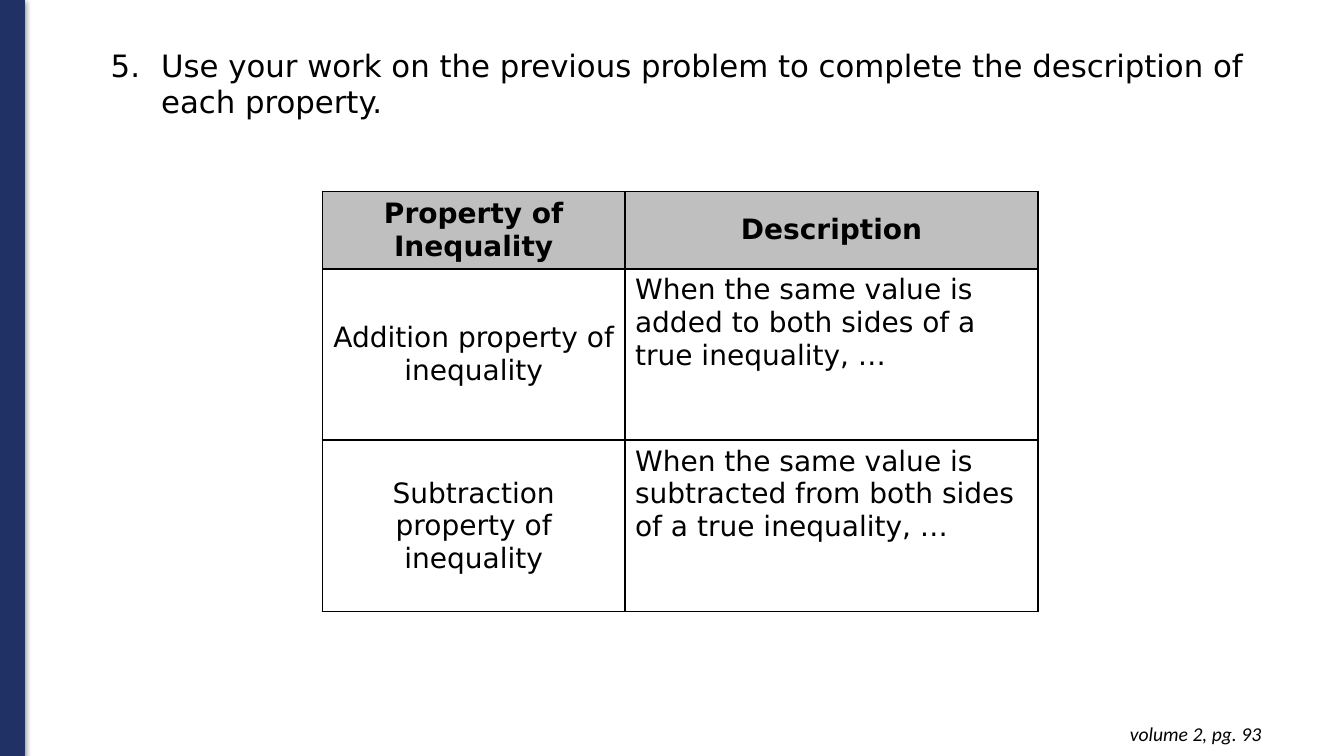
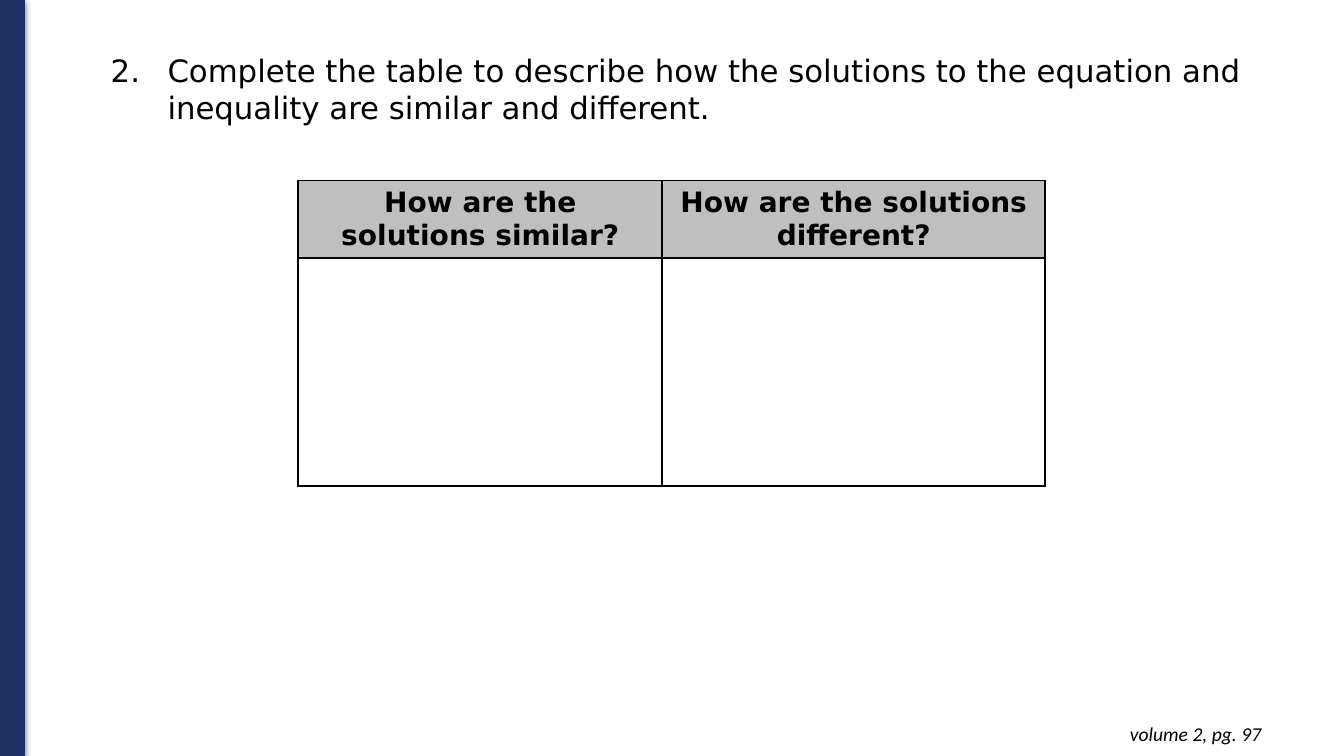
from dataclasses import dataclass

from lxml.etree import SubElement as Sub
from pptx import Presentation as Deck
from pptx.dml.color import RGBColor as Color
from pptx.enum.shapes import MSO_SHAPE as Form
from pptx.enum.text import MSO_ANCHOR as Anchor, PP_ALIGN as Align
from pptx.oxml.ns import qn
from pptx.slide import Slide
from pptx.table import _Cell as Cell
from pptx.text.text import TextFrame as Frame
from pptx.util import Emu, Inches, Pt


@dataclass(frozen=True)
class Theme:
    navy: str = "1F3165"
    gray: str = "BFBFBF"
    black: str = "000000"
    main: str = "DejaVu Sans"
    foot: str = "Calibri"
    task: int = 22
    cell: int = 20
    note: int = 14
    rule: float = 1.5


@dataclass(frozen=True)
class Box:
    left: float
    top: float
    wide: float
    high: float


@dataclass(frozen=True)
class Chart:
    left: float
    top: float
    cols: tuple[float, ...]
    rows: tuple[float, ...]
    text: tuple[tuple[str, ...], ...]
    label: bool


@dataclass(frozen=True)
class Page:
    number: int
    task: str
    top: float
    indent: float
    grid: Chart
    note: str


THEME = Theme()
WIDE, HIGH = Inches(13.33), Inches(7.5)
COLS, ROWS = 80, 45
BAND = Box(0, 0, 1.44, ROWS)
FOOT = Box(58.4, 42.36, 17.28, 2.64)

PAGES = (
    Page(5, "Use your work on the previous problem to complete the description of each property.",
         2.46, 3,
         Chart(19.2, 11.4, (18, 24.6), (4.56, 10.2, 10.2), (
             ("Property of Inequality", "Description"),
             ("Addition property of inequality",
              "When the same value is added to both sides of a true inequality, …"),
             ("Subtraction property of inequality",
              "When the same value is subtracted from both sides of a true inequality, …"),
         ), True),
         "volume 2, pg. 93"),
    Page(2, "Complete the table to describe how the solutions to the equation and "
         "inequality are similar and different.",
         2.76, 3.38,
         Chart(17.76, 10.74, (21.66, 22.8), (4.62, 13.56), (
             ("How are the solutions similar?", "How are the solutions different?"),
             ("", ""),
         ), False),
         "volume 2, pg. 97"),
)


def across(cols: float) -> Emu:
    return Emu(round(WIDE * cols / COLS))


def down(rows: float) -> Emu:
    return Emu(round(HIGH * rows / ROWS))


def place(box: Box) -> tuple[Emu, Emu, Emu, Emu]:
    return across(box.left), down(box.top), across(box.wide), down(box.high)


def write(frame: Frame, text: str, size: int, face: str, bold: bool = False,
          slant: bool = False, align: Align = Align.LEFT) -> None:
    frame.text = text
    frame.word_wrap = True
    line = frame.paragraphs[0]
    line.alignment = align
    for run in line.runs:
        font = run.font
        font.size, font.name = Pt(size), face
        font.bold, font.italic = bold, slant
        font.color.rgb = Color.from_string(THEME.black)


def number(frame: Frame, start: int, indent: float) -> None:
    props = frame.paragraphs[0]._p.get_or_add_pPr()
    props.set("marL", str(across(indent)))
    props.set("indent", str(-across(indent)))
    tint = Sub(props, qn("a:buClr"))
    Sub(tint, qn("a:srgbClr"), val=THEME.black)
    Sub(props, qn("a:buAutoNum"), type="arabicPeriod", startAt=str(start))


def shade(props) -> None:
    for old in props.findall(qn("a:effectLst")):
        props.remove(old)
    list_ = Sub(props, qn("a:effectLst"))
    cast = Sub(list_, qn("a:outerShdw"), blurRad=str(Pt(4.5)), dist=str(Pt(1.5)),
               dir="5400000", algn="ctr", rotWithShape="0")
    tint = Sub(cast, qn("a:srgbClr"), val=THEME.black)
    Sub(tint, qn("a:alpha"), val="50000")


def band(slide: Slide) -> None:
    bar = slide.shapes.add_shape(Form.RECTANGLE, *place(BAND))
    bar.fill.solid()
    bar.fill.fore_color.rgb = Color.from_string(THEME.navy)
    bar.line.color.rgb = Color.from_string(THEME.navy)
    bar.line.width = Pt(0.75)
    bar.shadow.inherit = False
    shade(bar._element.spPr)


def edge(cell: Cell) -> None:
    props = cell._tc.get_or_add_tcPr()
    for side in ("lnL", "lnR", "lnT", "lnB"):
        line = Sub(props, qn(f"a:{side}"), w=str(Pt(THEME.rule)))
        fill = Sub(line, qn("a:solidFill"))
        Sub(fill, qn("a:srgbClr"), val=THEME.black)


def paint(cell: Cell, text: str, head: bool, mid: bool) -> None:
    edge(cell)
    if head:
        cell.fill.solid()
        cell.fill.fore_color.rgb = Color.from_string(THEME.gray)
    else:
        cell.fill.background()
    cell.vertical_anchor = Anchor.MIDDLE if mid else Anchor.TOP
    if text:
        write(cell.text_frame, text, THEME.cell, THEME.main, bold=head,
              align=Align.CENTER if mid else Align.LEFT)


def chart(slide: Slide, grid: Chart) -> None:
    box = Box(grid.left, grid.top, sum(grid.cols), sum(grid.rows))
    table = slide.shapes.add_table(len(grid.rows), len(grid.cols), *place(box)).table
    table.first_row = table.horz_banding = False
    for col, wide in zip(table.columns, grid.cols):
        col.width = across(wide)
    for y, (row, high) in enumerate(zip(table.rows, grid.rows)):
        row.height = down(high)
        for x, cell in enumerate(row.cells):
            head = y == 0
            paint(cell, grid.text[y][x], head, head or (grid.label and x == 0))


def draw(slide: Slide, page: Page) -> None:
    band(slide)
    task = slide.shapes.add_textbox(*place(Box(6, page.top, 69, 5.04))).text_frame
    write(task, page.task, THEME.task, THEME.main)
    number(task, page.number, page.indent)
    chart(slide, page.grid)
    note = slide.shapes.add_textbox(*place(FOOT)).text_frame
    note.margin_top = note.margin_bottom = Inches(0.1)
    write(note, page.note, THEME.note, THEME.foot, slant=True, align=Align.RIGHT)


def main() -> None:
    deck = Deck()
    deck.slide_width, deck.slide_height = WIDE, HIGH
    for page in PAGES:
        draw(deck.slides.add_slide(deck.slide_layouts[6]), page)
    deck.save("out.pptx")


if __name__ == "__main__":
    main()
